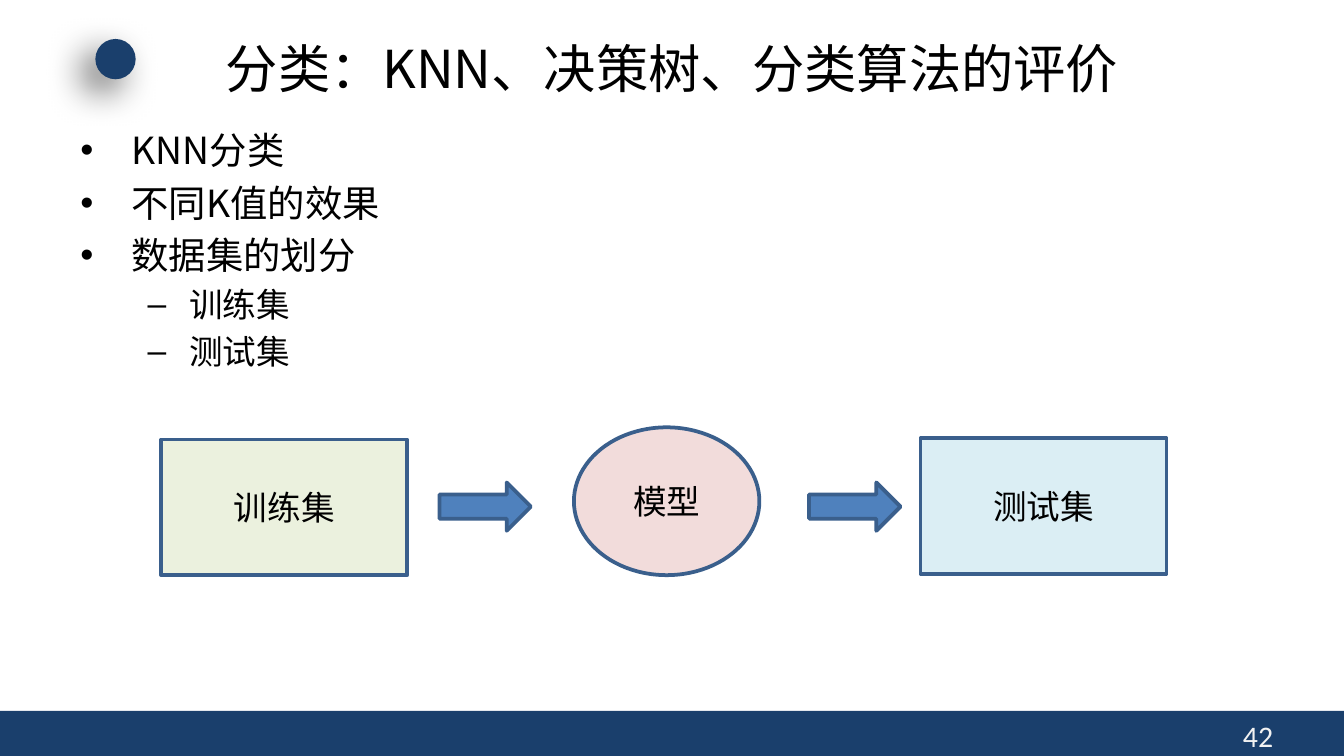
import dataclasses

import lxml.etree
import pptx
import pptx.dml.color
import pptx.enum.shapes
import pptx.enum.text
import pptx.oxml.ns
import pptx.util

Inches = pptx.util.Inches
Pt = pptx.util.Pt
Shape = pptx.enum.shapes.MSO_SHAPE
Align = pptx.enum.text.PP_ALIGN
Anchor = pptx.enum.text.MSO_ANCHOR
qn = pptx.oxml.ns.qn


@dataclasses.dataclass(frozen=True)
class Theme:
    navy: str = "1A3F6C"
    outline: str = "3A5F8C"
    arrow: str = "4F81BD"
    green: str = "EBF1DE"
    pink: str = "F2DCDB"
    blue: str = "DBEEF4"
    text: str = "000000"
    page_text: str = "F2F2F2"
    chinese_font: str = "Noto Sans CJK SC"
    latin_font: str = "Calibri"
    title_size: int = 28
    body_size: int = 20
    label_size: int = 18
    page_size: int = 16
    outline_width: int = 2


class SlideBuilder:
    """Hold the theme and the current slide, and draw each kind of element."""

    def __init__(self, slide, theme):
        self.slide = slide
        self.theme = theme

    def color(self, value):
        return pptx.dml.color.RGBColor.from_string(value)

    def add_run(self, paragraph, text, size, font, color):
        run = paragraph.add_run()
        run.text = text
        run.font.size = Pt(size)
        run.font.name = font
        run.font.color.rgb = self.color(color)
        east_asian = lxml.etree.Element(qn("a:ea"), typeface=self.theme.chinese_font)
        run.font._element.find(qn("a:latin")).addnext(east_asian)

    def text(self, box, text, size, font=None, color=None, align=Align.LEFT, anchor=Anchor.TOP):
        frame = self.slide.shapes.add_textbox(*map(Inches, box)).text_frame
        frame.word_wrap = True
        frame.vertical_anchor = anchor
        paragraph = frame.paragraphs[0]
        paragraph.alignment = align
        self.add_run(paragraph, text, size, font or self.theme.chinese_font, color or self.theme.text)

    def shape(self, kind, box, fill, outlined=True, label=None):
        shape = self.slide.shapes.add_shape(kind, *map(Inches, box))
        shape.shadow.inherit = False
        shape.fill.solid()
        shape.fill.fore_color.rgb = self.color(fill)
        if outlined:
            shape.line.color.rgb = self.color(self.theme.outline)
            shape.line.width = Pt(self.theme.outline_width)
        else:
            shape.line.fill.background()
        if label:
            shape.text_frame.vertical_anchor = Anchor.MIDDLE
            paragraph = shape.text_frame.paragraphs[0]
            paragraph.alignment = Align.CENTER
            self.add_run(paragraph, label, self.theme.label_size, self.theme.latin_font, self.theme.text)
        return shape

    def soft_shadow(self, shape, blur, distance, angle, opacity):
        effects = shape._element.spPr.find(qn("a:effectLst"))
        shadow = lxml.etree.SubElement(
            effects, qn("a:outerShdw"), blurRad=str(Pt(blur)), dist=str(Pt(distance)),
            dir=str(angle * 60000), algn="ctr", rotWithShape="0")
        shade = lxml.etree.SubElement(shadow, qn("a:srgbClr"), val=self.theme.text)
        lxml.etree.SubElement(shade, qn("a:alpha"), val=str(opacity * 1000))

    def bullets(self, box, items):
        styles = [("•", 0.38, 0.38, self.theme.body_size), ("–", 0.81, 0.31, self.theme.label_size)]
        frame = self.slide.shapes.add_textbox(*map(Inches, box)).text_frame
        frame.word_wrap = True
        for index, (level, text) in enumerate(items):
            mark, margin, hanging, size = styles[level]
            paragraph = frame.add_paragraph() if index else frame.paragraphs[0]
            paragraph.level = level
            if index:
                paragraph.space_before = Pt(size * 0.2)
            properties = paragraph._p.get_or_add_pPr()
            properties.set("marL", str(Inches(margin)))
            properties.set("indent", str(-Inches(hanging)))
            lxml.etree.SubElement(properties, qn("a:buFont"), typeface="Arial")
            lxml.etree.SubElement(properties, qn("a:buChar"), char=mark)
            self.add_run(paragraph, text, size, self.theme.chinese_font, self.theme.text)


def main():
    presentation = pptx.Presentation()
    presentation.slide_width = Inches(10)
    presentation.slide_height = Inches(10) * 9 // 16
    theme = Theme()
    builder = SlideBuilder(presentation.slides.add_slide(presentation.slide_layouts[6]), theme)

    builder.shape(Shape.RECTANGLE, (0, 5.29, 10, 0.34), theme.navy, outlined=False)
    builder.text((9.15, 5.29, 0.8, 0.3), "42", theme.page_size, theme.latin_font, theme.page_text)
    dot = builder.shape(Shape.OVAL, (0.71, 0.29, 0.3, 0.3), theme.navy, outlined=False)
    builder.soft_shadow(dot, blur=20, distance=10, angle=135, opacity=60)

    builder.text((0.5, 0.23, 9, 0.55), "分类：KNN、决策树、分类算法的评价", theme.title_size,
                 align=Align.CENTER, anchor=Anchor.MIDDLE)
    builder.bullets((0.5, 0.9, 9, 4.31), [
        (0, "KNN分类"), (0, "不同K值的效果"), (0, "数据集的划分"), (1, "训练集"), (1, "测试集")])

    builder.shape(Shape.RECTANGLE, (1.2, 3.27, 1.83, 1.01), theme.green, label="训练集")
    builder.shape(Shape.OVAL, (4.27, 3.18, 1.38, 1.1), theme.pink, label="模型")
    builder.shape(Shape.RECTANGLE, (6.85, 3.26, 1.83, 1.01), theme.blue, label="测试集")
    for left in (3.27, 6.02):
        builder.shape(Shape.RIGHT_ARROW, (left, 3.59, 0.68, 0.36), theme.arrow)

    presentation.save("out.pptx")


if __name__ == "__main__":
    main()
